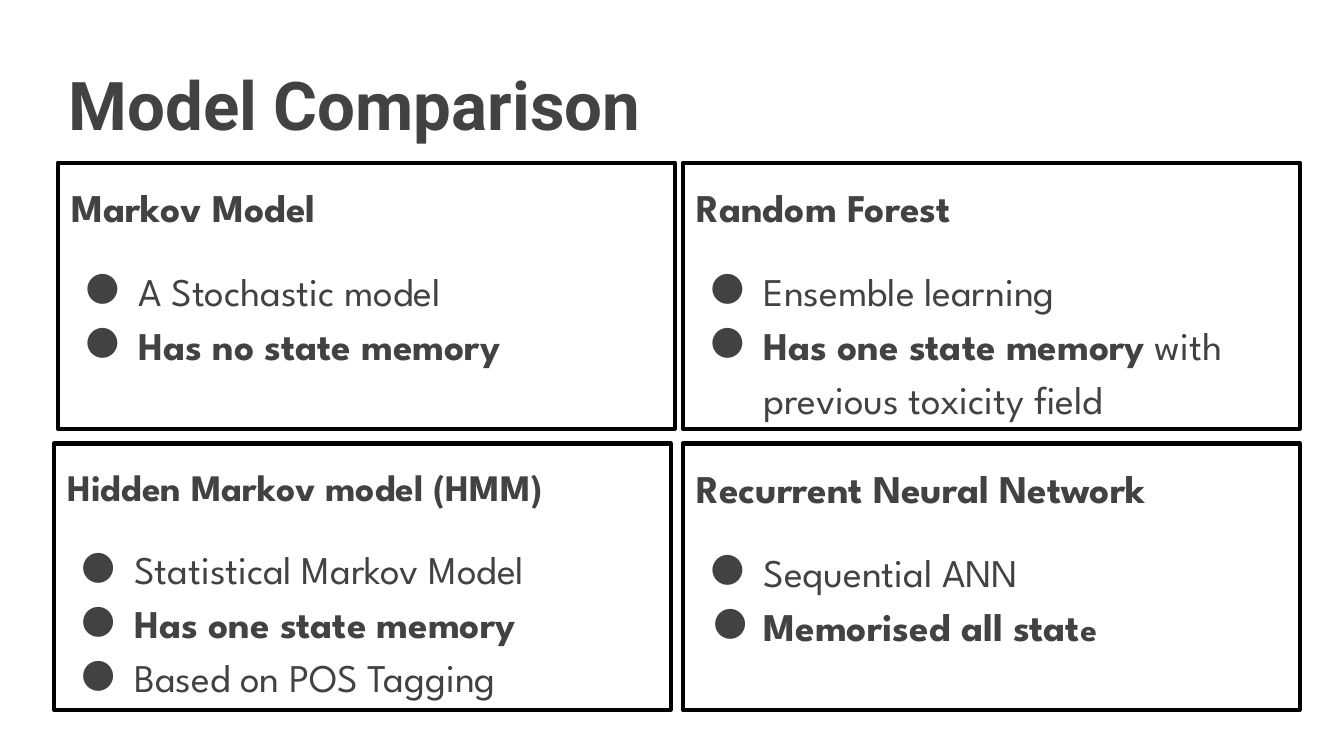
from lxml import etree
from pptx import Presentation
from pptx import util as u
from pptx.dml.color import RGBColor
from pptx.enum import text
from pptx.oxml.ns import qn

COLORS = {"text": "424242", "border": "000000", "back": "FFFFFF"}
BODY = {"name": "League Spartan", "size": u.Pt(21)}
HANG = 28.5

# Each panel: left, top, heading, heading size, bullets.
# A bullet is (hanging indent, runs); a run is (text, bold, size).
PANELS = [
    (31, 87.1, "Markov Model", 21, [
        (HANG, [("A Stochastic model", False, 21)]),
        (HANG, [("Has no state memory", True, 21)])]),
    (365.8, 87.1, "Random Forest", 21, [
        (HANG, [("Ensemble learning", False, 21)]),
        (HANG, [("Has one state memory", True, 21),
                (" with previous toxicity field", False, 21)])]),
    (365.8, 237.6, "Recurrent Neural Network", 21, [
        (HANG, [("Sequential ANN", False, 21)]),
        (27, [("Memorised all stat", True, 21), ("e", True, 18)])]),
    (28.8, 237.6, "Hidden Markov model (HMM)", 20, [
        (HANG, [("Statistical Markov Model", False, 21)]),
        (HANG, [("Has one state memory", True, 21)]),
        (HANG, [("Based on POS Tagging", False, 21)])]),
]


def rgb(key):
    return RGBColor.from_string(COLORS[key])


def set_attrs(obj, values):
    for name, value in values.items():
        setattr(obj, name, value)


def place(sp, left, top, width, height):
    """Move a placeholder and give its text frame the common format."""
    set_attrs(sp, {"left": u.Pt(left), "top": u.Pt(top),
                   "width": u.Pt(width), "height": u.Pt(height)})
    tf = sp.text_frame
    set_attrs(tf, {"word_wrap": True, "auto_size": text.MSO_AUTO_SIZE.NONE,
                   "vertical_anchor": text.MSO_ANCHOR.TOP})
    for side in ("left", "top", "right", "bottom"):
        setattr(tf, f"margin_{side}", u.Pt(7.2))
    return tf


def add_run(p, words, **font):
    r = p.add_run()
    r.text = words
    set_attrs(r.font, font)
    r.font.color.rgb = rgb("text")


def set_bullet(p, char=None, hang=0):
    """Give a paragraph a hanging bullet, or none at all."""
    pPr = p._p.get_or_add_pPr()
    pPr.set("marL", str(u.Pt(36) if char else 0))
    pPr.set("indent", str(-u.Pt(hang)))
    if not char:
        etree.SubElement(pPr, qn("a:buNone"))
        return
    clr = etree.SubElement(pPr, qn("a:buClr"))
    etree.SubElement(clr, qn("a:srgbClr"), val=COLORS["text"])
    etree.SubElement(pPr, qn("a:buFont"), typeface=BODY["name"])
    etree.SubElement(pPr, qn("a:buChar"), char=char)


def format_paragraph(p, before=0):
    set_attrs(p, {"alignment": text.PP_ALIGN.LEFT, "line_spacing": 1.15,
                  "space_before": u.Pt(before), "space_after": u.Pt(0)})


def fill_title(sp, words):
    tf = place(sp, 29.5, 26.6, 405.4, 52.6)
    p = tf.paragraphs[0]
    p.alignment = text.PP_ALIGN.LEFT
    add_run(p, words, name="Roboto", size=u.Pt(36), bold=True)


def fill_panel(sp, left, top, heading, size, bullets):
    tf = place(sp, left, top, 330.5, 142.6)
    sp.line.color.rgb = rgb("border")
    sp.line.width = u.Pt(2.25)

    # Heading
    p = tf.paragraphs[0]
    format_paragraph(p)
    set_bullet(p)
    add_run(p, heading, name=BODY["name"], size=u.Pt(size), bold=True)

    # Bullets
    for i, (hang, runs) in enumerate(bullets):
        p = tf.add_paragraph()
        format_paragraph(p, before=0 if i else 16)
        set_bullet(p, "●", hang)
        for words, bold, run_size in runs:
            add_run(p, words, name=BODY["name"], size=u.Pt(run_size), bold=bold)


def main():
    prs = Presentation()
    set_attrs(prs, {"slide_width": u.Pt(720), "slide_height": u.Pt(405)})

    # The Comparison layout has a title and four body placeholders
    s = prs.slides.add_slide(prs.slide_layouts[4])
    s.background.fill.solid()
    s.background.fill.fore_color.rgb = rgb("back")

    fill_title(s.shapes.title, "Model Comparison")
    bodies = [sp for sp in s.placeholders if sp.placeholder_format.idx > 0]
    for sp, panel in zip(bodies, PANELS):
        fill_panel(sp, *panel)

    prs.save("out.pptx")


if __name__ == "__main__":
    main()
